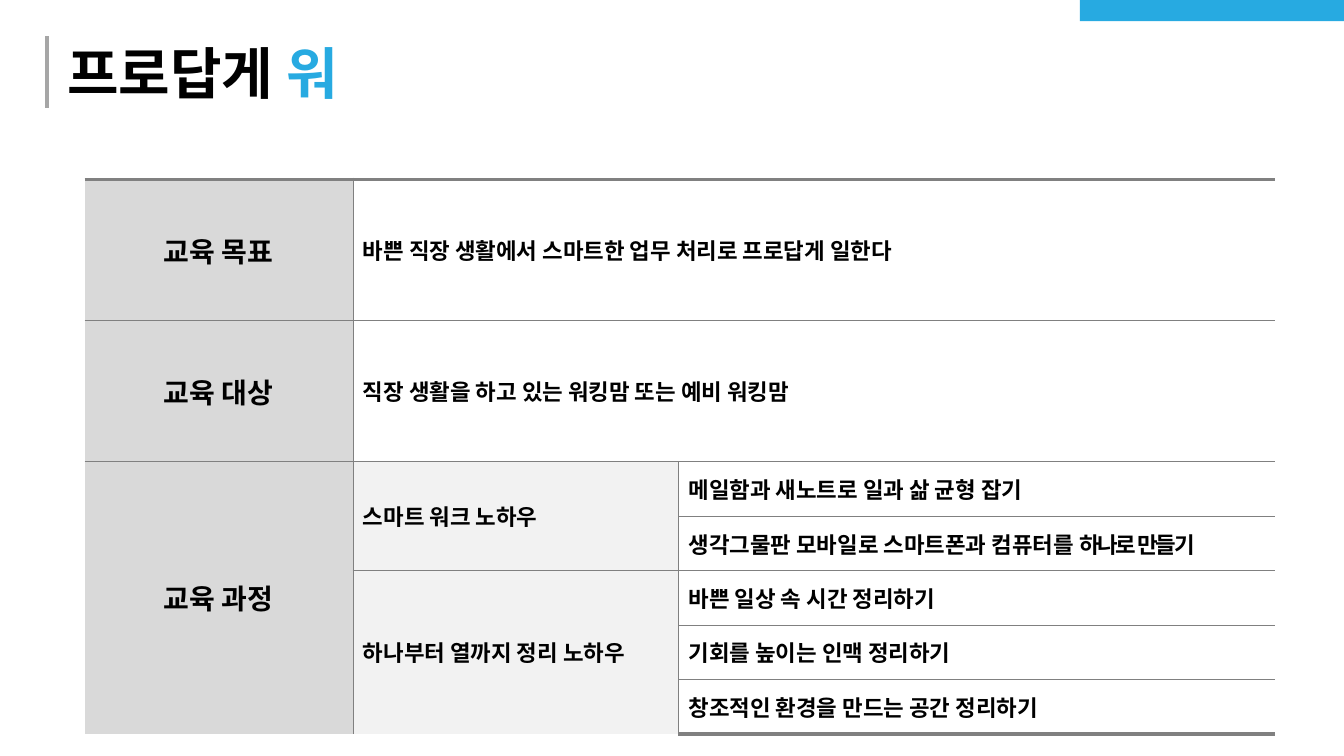
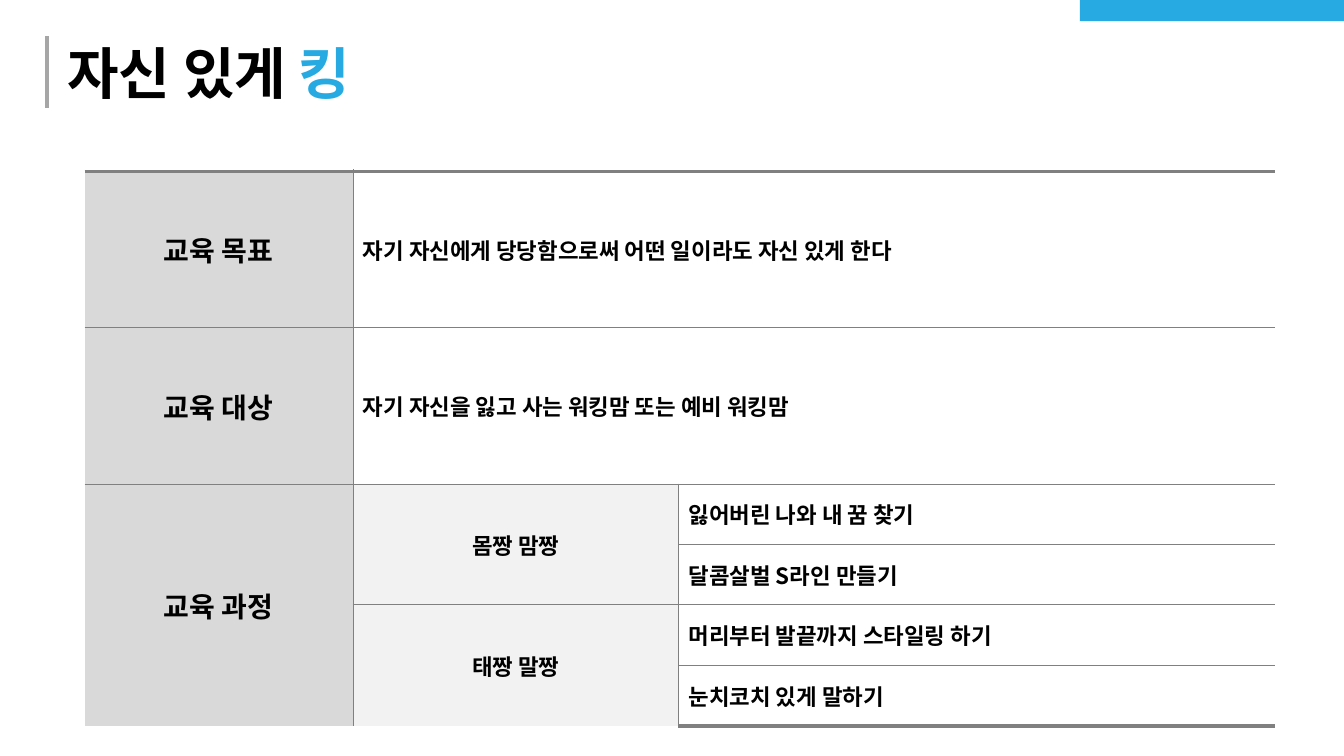
from lxml.etree import SubElement
from pptx import Presentation
from pptx.dml.color import RGBColor
from pptx.enum.shapes import MSO_CONNECTOR, MSO_SHAPE
from pptx.enum.text import MSO_ANCHOR, PP_ALIGN
from pptx.oxml import parse_xml
from pptx.oxml.ns import nsdecls, qn
from pptx.util import Inches, Pt

FONT = "Noto Sans CJK KR"
COLORS = {"accent": "27AAE1", "text": "000000", "bar": "A6A6A6",
          "border": "808080", "head": "D9D9D9", "group": "F2F2F2"}
COLS = [2.66, 3.23, 5.92]
THIN, THICK = 0.5, 3

SLIDES = [
    {"title": ("프로답게 ", "워"), "top": 1.78, "tall": 1.4, "low": 0.54,
     "group_align": PP_ALIGN.LEFT,
     "goal": "바쁜 직장 생활에서 스마트한 업무 처리로 프로답게 일한다",
     "target": "직장 생활을 하고 있는 워킹맘 또는 예비 워킹맘",
     "courses": [
         ("스마트 워크 노하우",
          [["메일함과 새노트로 일과 삶 균형 잡기"],
           ["생각그물판 모바일로 스마트폰과 컴퓨터를 ", "하나로 만들기"]]),
         ("하나부터 열까지 정리 노하우",
          [["바쁜 일상 속 시간 정리하기"],
           ["기회를 높이는 인맥 정리하기"],
           ["창조적인 환경을 만드는 공간 정리하기"]])]},
    {"title": ("자신 있게 ", "킹"), "top": 1.7, "tall": 1.55, "low": 0.6,
     "group_align": PP_ALIGN.CENTER,
     "goal": "자기 자신에게 당당함으로써 어떤 일이라도 자신 있게 한다",
     "target": "자기 자신을 잃고 사는 워킹맘 또는 예비 워킹맘",
     "courses": [
         ("몸짱 맘짱",
          [["잃어버린 나와 내 꿈 찾기"], ["달콤살벌 S라인 만들기"]]),
         ("태짱 말짱",
          [["머리부터 발끝까지 스타일링 하기"], ["눈치코치 있게 말하기"]])]},
]


def add_run(p, text, size, color="text", spacing=0):
    r = p.add_run()
    r.text = text
    r.font.size = Pt(size)
    r.font.bold = True
    r.font.color.rgb = RGBColor.from_string(COLORS[color])
    r.font.name = FONT
    rPr = r.font._element if hasattr(r.font, "_element") else r._r.get_or_add_rPr()
    SubElement(rPr, qn("a:ea"), typeface=FONT)
    if spacing:
        rPr.set("spc", str(int(spacing * 100)))


def add_block(tbl, row, col, height, width, texts, size, fill=None, align=PP_ALIGN.LEFT):
    last_row, last_col = row + height - 1, col + width - 1
    for y in range(row, row + height):
        for x in range(col, col + width):
            cell = tbl.cell(y, x)
            if fill:
                cell.fill.solid()
                cell.fill.fore_color.rgb = RGBColor.from_string(COLORS[fill])
            else:
                cell.fill.background()
            top = THICK if y == 0 else THIN
            bottom = THICK if y == len(tbl.rows) - 1 else THIN
            edges = [("lnL", THIN if x == col and x > 0 else 0),
                     ("lnR", THIN if x == last_col and x < len(COLS) - 1 else 0),
                     ("lnT", top if y == row else 0),
                     ("lnB", bottom if y == last_row else 0)]
            tcPr = cell._tc.get_or_add_tcPr()
            for i, (tag, weight) in enumerate(edges):
                paint = (f'<a:solidFill><a:srgbClr val="{COLORS["border"]}"/></a:solidFill>'
                         if weight else "<a:noFill/>")
                tcPr.insert(i, parse_xml(
                    f'<a:{tag} {nsdecls("a")} w="{Pt(weight)}">{paint}</a:{tag}>'))
    cell = tbl.cell(row, col)
    if height * width > 1:
        cell.merge(tbl.cell(last_row, last_col))
    cell.vertical_anchor = MSO_ANCHOR.MIDDLE
    p = cell.text_frame.paragraphs[0]
    p.alignment = align
    for i, text in enumerate(texts):
        add_run(p, text, size, spacing=-1.5 if i else 0)


prs = Presentation()
prs.slide_width, prs.slide_height = Inches(13.33), Inches(7.5)

for data in SLIDES:
    s = prs.slides.add_slide(prs.slide_layouts[6])

    band = s.shapes.add_shape(MSO_SHAPE.RECTANGLE, Inches(10.71), 0, Inches(2.62), Inches(0.21))
    band.shadow.inherit = False
    band.fill.solid()
    band.fill.fore_color.rgb = RGBColor.from_string(COLORS["accent"])
    band.line.fill.background()

    bar = s.shapes.add_connector(MSO_CONNECTOR.STRAIGHT, Inches(0.47), Inches(0.36),
                                 Inches(0.47), Inches(1.07))
    bar.line.color.rgb = RGBColor.from_string(COLORS["bar"])
    bar.line.width = Pt(3)
    SubElement(bar._element.spPr, qn("a:effectLst"))

    title = s.shapes.add_textbox(Inches(0.67), Inches(0.38), Inches(10.04), Inches(0.67))
    tf = title.text_frame
    tf.word_wrap = True
    tf.vertical_anchor = MSO_ANCHOR.MIDDLE
    tf.margin_left = tf.margin_top = tf.margin_right = tf.margin_bottom = 0
    for text, color in zip(data["title"], ("text", "accent")):
        add_run(tf.paragraphs[0], text, 40, color)

    count = sum(len(items) for _, items in data["courses"])
    heights = [data["tall"]] * 2 + [data["low"]] * count
    tbl = s.shapes.add_table(len(heights), len(COLS), Inches(0.84), Inches(data["top"]),
                             Inches(sum(COLS)), Inches(sum(heights))).table
    tbl.first_row = tbl.horz_banding = False
    for column, width in zip(tbl.columns, COLS):
        column.width = Inches(width)
    for row, height in zip(tbl.rows, heights):
        row.height = Inches(height)

    for y, (label, span) in enumerate([("교육 목표", 1), ("교육 대상", 1), ("교육 과정", count)]):
        add_block(tbl, y, 0, span, 1, [label], 20, "head", PP_ALIGN.CENTER)
    for y, key in enumerate(["goal", "target"]):
        add_block(tbl, y, 1, 1, 2, [data[key]], 16)

    y = 2
    for group, items in data["courses"]:
        add_block(tbl, y, 1, len(items), 1, [group], 16, "group", data["group_align"])
        for texts in items:
            add_block(tbl, y, 2, 1, 1, texts, 16)
            y += 1

prs.save("out.pptx")
